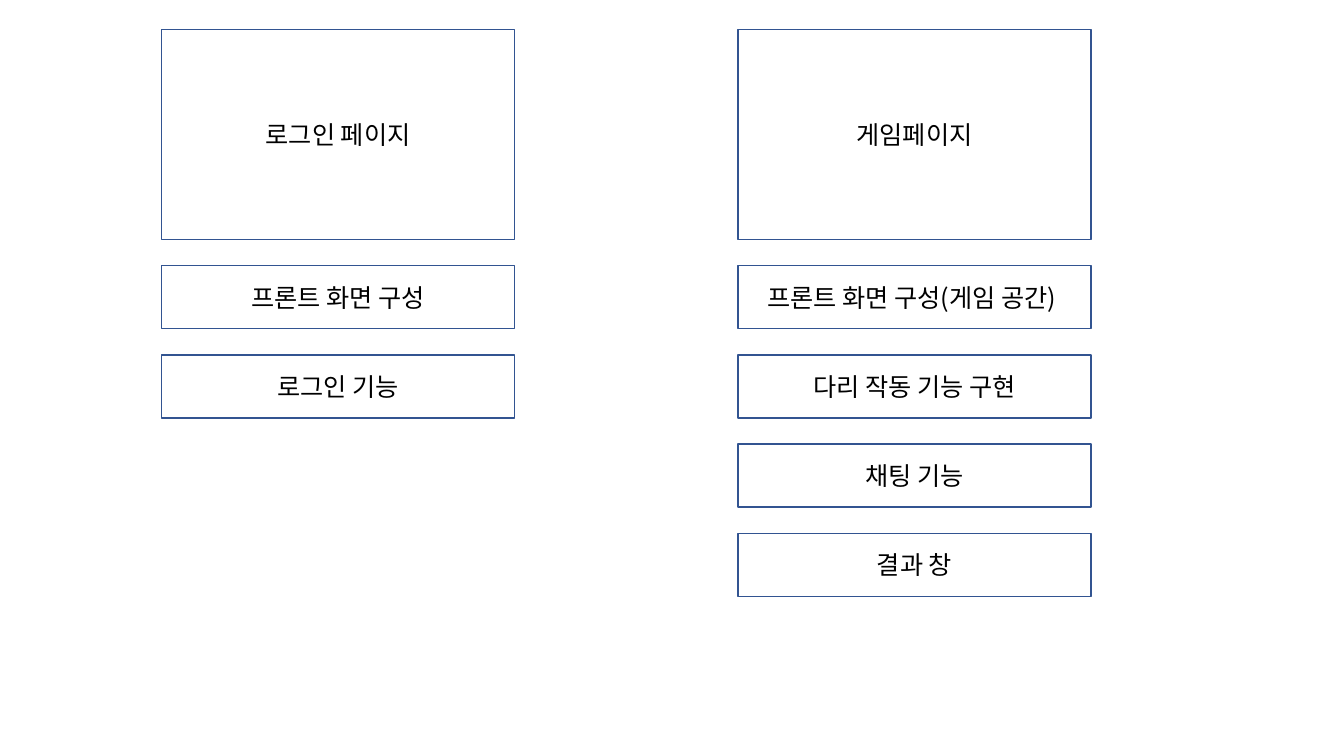
import pptx
import pptx.util
import pptx.dml.color
import pptx.enum.shapes
import pptx.enum.text
import pptx.oxml.ns
import lxml.etree

PX = 9525  # EMU in one px, 96 px to the inch
BLUE = pptx.dml.color.RGBColor(0x32, 0x54, 0x91)
BLACK = pptx.dml.color.RGBColor(0, 0, 0)
FONT = "Noto Sans CJK KR"

WIDE, PAGE, TASK, GAP = 336, 200, 60, 25
TOP = 28
COLUMNS = [
    (154, "로그인 페이지", ["프론트 화면 구성", "로그인 기능"]),
    (703, "게임페이지", ["프론트 화면 구성(게임 공간) ", "다리 작동 기능 구현",
                    "채팅 기능", "결과 창"]),
]


def add_box(slide, left, top, width, height, text):
    """Outlined rectangle with centred text."""
    box = slide.shapes.add_shape(
        pptx.enum.shapes.MSO_SHAPE.RECTANGLE,
        left * PX, top * PX, width * PX, height * PX)
    box.shadow.inherit = False
    box.fill.background()
    box.line.color.rgb = BLUE
    box.line.width = pptx.util.Pt(1)

    frame = box.text_frame
    frame.text = text
    frame.word_wrap = True
    frame.vertical_anchor = pptx.enum.text.MSO_ANCHOR.MIDDLE
    line = frame.paragraphs[0]
    line.alignment = pptx.enum.text.PP_ALIGN.CENTER
    font = line.runs[0].font
    font.size = pptx.util.Pt(18)
    font.name = FONT
    font.color.rgb = BLACK
    # Korean glyphs take the East Asian font
    props = line.runs[0]._r.get_or_add_rPr()
    lxml.etree.SubElement(props, pptx.oxml.ns.qn("a:ea"), typeface=FONT)


def add_column(slide, left, top, width, page, tasks):
    """A page box with its tasks stacked below."""
    add_box(slide, left, top, width, PAGE, page)
    first = top + PAGE + GAP
    for row, task in enumerate(tasks):
        add_box(slide, left, first + row * (TASK + GAP), width, TASK, task)


def main():
    deck = pptx.Presentation()
    deck.slide_width = 1280 * PX
    deck.slide_height = 720 * PX
    slide = deck.slides.add_slide(deck.slide_layouts[6])
    for left, page, tasks in COLUMNS:
        add_column(slide, left, TOP, WIDE, page, tasks)
    deck.save("out.pptx")


if __name__ == "__main__":
    main()
